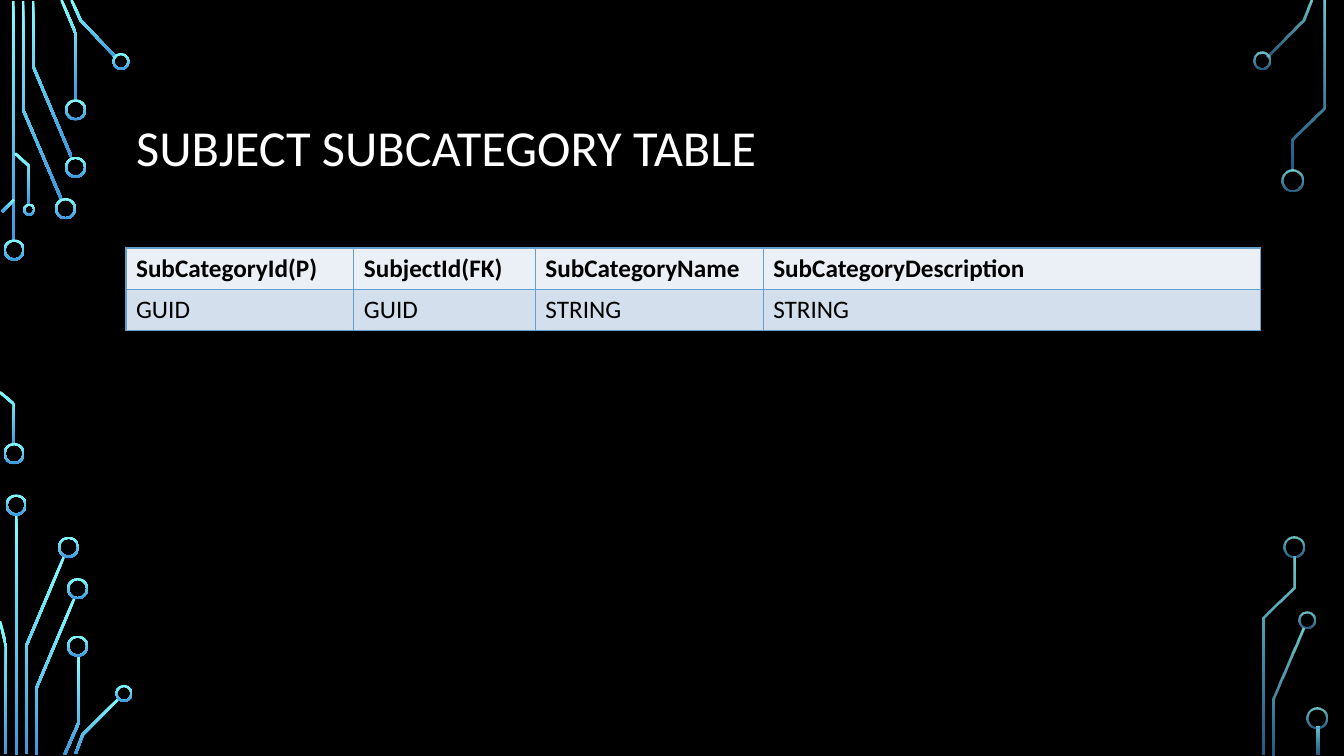
"""Build the subject subcategory table slide with its circuit-board frame."""
from dataclasses import dataclass
from math import hypot
from typing import Any

from lxml.etree import SubElement
from pptx import Presentation
from pptx.dml.color import RGBColor
from pptx.enum.shapes import MSO_SHAPE as Preset
from pptx.enum.text import MSO_ANCHOR as Anchor, PP_ALIGN as Align
from pptx.oxml.ns import qn
from pptx.util import Inches, Pt

Point = tuple[float, float]

COLORS = {
    "background": "000000",
    "title": "FFFFFF",
    "text": "000000",
    "glow_top": "82FFFF",
    "glow_bottom": "3D97DE",
    "header": "EAF0F6",
    "body": "D3DFEC",
    "border": "63A0CC",
}
FONT = "Calibri"
TRACE_WIDTH = 0.025
RING_WIDTH = 0.02
COLUMNS = (2.26, 1.8, 2.26, 4.93)
ROW_HEIGHT = 0.41
ROWS = (
    ("SubCategoryId(P)", "SubjectId(FK)", "SubCategoryName", "SubCategoryDescription"),
    ("GUID", "GUID", "STRING", "STRING"),
)


@dataclass(frozen=True)
class Bar:
    """A straight vertical conductor."""
    left: float
    top: float
    height: float


@dataclass(frozen=True)
class Circuit:
    """One side of the frame: bars, bent traces, and rings by diameter."""
    opacity: tuple[int, int]
    bars: list[Bar]
    traces: list[list[Point]]
    rings: dict[float, list[Point]]


CIRCUITS = (
    Circuit(
        opacity=(100, 100),
        bars=[Bar(0.12, 0.01, 2.39), Bar(0.15, 5.1, 2.39)],
        traces=[
            [(0.61, 1.98), (0.23, 1.09), (0.23, 0.01)],
            [(0.71, 1.56), (0.33, 0.66), (0.33, 0.01)],
            [(0.75, 1), (0.75, 0.33), (0.61, 0)],
            [(1.15, 0.57), (0.8, 0.2), (0.71, 0)],
            [(0.02, 2.1), (0.14, 1.98)],
            [(0.14, 4.41), (0.14, 4.01), (0, 3.89)],
            [(0.29, 2.03), (0.29, 1.65), (0.15, 1.52)],
            [(0.26, 7.48), (0.26, 6.41), (0.64, 5.51)],
            [(0.06, 7.48), (0.06, 6.41), (0, 6.16)],
            [(0.36, 7.49), (0.36, 6.83), (0.74, 5.93)],
            [(0.64, 7.49), (0.78, 7.17), (0.78, 6.5)],
            [(0.75, 7.48), (0.82, 7.29), (1.18, 6.93)],
        ],
        rings={
            0.21: [(0.14, 2.48), (0.14, 4.5), (0.65, 2.07), (0.75, 1.66), (0.75, 1.09),
                   (0.16, 5.01), (0.68, 5.43), (0.77, 5.84), (0.77, 6.41)],
            0.17: [(1.2, 0.61), (1.23, 6.88)],
            0.12: [(0.29, 2.08)],
        },
    ),
    Circuit(
        opacity=(80, 60),
        bars=[Bar(13.06, 7.21, 0.28)],
        traces=[
            [(12.57, 0.56), (12.93, 0.2), (13.01, 0)],
            [(12.63, 7.49), (12.63, 6.93), (12.93, 6.23)],
            [(12.82, 1.69), (12.82, 1.38), (13.13, 1.07), (13.13, 0.01)],
            [(12.53, 7.49), (12.53, 6.13), (12.84, 5.83), (12.84, 5.52)],
        ],
        rings={
            0.21: [(12.82, 1.79), (12.83, 5.43), (13.06, 7.12)],
            0.17: [(12.52, 0.6), (12.96, 6.15)],
        },
    ),
)


def rgb(name: str) -> RGBColor:
    """Look up a palette colour."""
    return RGBColor.from_string(COLORS[name])


def set_values(target: Any, values: dict[str, Any]) -> None:
    """Set attributes from a dict of format values."""
    for name, value in values.items():
        setattr(target, name, value)


def style_glow(shape: Any, opacity: tuple[int, int]) -> None:
    """Give a shape the vertical glow gradient, no line and no shadow."""
    shape.shadow.inherit = False
    shape.line.fill.background()
    shape.fill.gradient()
    shape.fill.gradient_angle = 270
    for stop, name in zip(shape.fill.gradient_stops, ("glow_top", "glow_bottom")):
        stop.color.rgb = rgb(name)
    for color, percent in zip(shape._element.spPr.iter(qn("a:srgbClr")), opacity):
        if percent < 100:
            SubElement(color, qn("a:alpha"), val=str(percent * 1000))


def offset_line(points: list[Point], distance: float) -> list[Point]:
    """Shift a polyline sideways, with mitred corners."""
    normals = []
    for (x1, y1), (x2, y2) in zip(points, points[1:]):
        length = hypot(x2 - x1, y2 - y1)
        normals.append(((y1 - y2) / length, (x2 - x1) / length))
    shifted = []
    for (x, y), (ax, ay), (bx, by) in zip(points, normals[:1] + normals, normals + normals[-1:]):
        scale = distance / (1 + ax * bx + ay * by)
        shifted.append((x + (ax + bx) * scale, y + (ay + by) * scale))
    return shifted


def draw_trace(page: Any, points: list[Point]) -> Any:
    """Draw a bent conductor as a closed outline."""
    half = TRACE_WIDTH / 2
    outline = offset_line(points, half) + offset_line(points, -half)[::-1]
    start, *rest = [(Inches(x), Inches(y)) for x, y in outline]
    builder = page.shapes.build_freeform(*start)
    builder.add_line_segments(rest, close=True)
    return builder.convert_to_shape()


def draw_ring(page: Any, center: Point, size: float) -> Any:
    """Draw a solder ring around its centre."""
    left, top = (Inches(value - size / 2) for value in center)
    ring = page.shapes.add_shape(Preset.DONUT, left, top, Inches(size), Inches(size))
    ring.adjustments[0] = RING_WIDTH / size
    return ring


def draw_bar(page: Any, bar: Bar) -> Any:
    """Draw a straight conductor."""
    box = [Inches(value) for value in (bar.left, bar.top, TRACE_WIDTH, bar.height)]
    return page.shapes.add_shape(Preset.RECTANGLE, *box)


def draw_circuit(page: Any, circuit: Circuit) -> None:
    """Draw one side of the frame."""
    parts = [draw_bar(page, bar) for bar in circuit.bars]
    parts += [draw_trace(page, points) for points in circuit.traces]
    parts += [draw_ring(page, center, size)
              for size, centers in circuit.rings.items() for center in centers]
    for part in parts:
        style_glow(part, circuit.opacity)


def write_title(page: Any, text: str) -> None:
    """Place and format the title placeholder."""
    title = page.shapes.title
    set_values(title, {"left": Inches(1.25), "top": Inches(0.68),
                       "width": Inches(10.83), "height": Inches(1.62)})
    set_values(title.text_frame, {"text": text, "word_wrap": True,
                                  "vertical_anchor": Anchor.MIDDLE})
    para = title.text_frame.paragraphs[0]
    set_values(para, {"alignment": Align.LEFT, "line_spacing": 0.9})
    set_values(para.runs[0].font, {"name": FONT, "size": Pt(36)})
    para.runs[0].font.color.rgb = rgb("title")


def format_cell(cell: Any, text: str, header: bool) -> None:
    """Fill one table cell and draw its borders."""
    cell.text = text
    cell.fill.solid()
    cell.fill.fore_color.rgb = rgb("header" if header else "body")
    font = cell.text_frame.paragraphs[0].runs[0].font
    set_values(font, {"name": FONT, "size": Pt(18), "bold": header})
    font.color.rgb = rgb("text")
    properties = cell._tc.get_or_add_tcPr()
    for index, side in enumerate(("a:lnL", "a:lnR", "a:lnT", "a:lnB")):
        line = SubElement(properties, qn(side), w=str(Pt(1)))
        fill = SubElement(line, qn("a:solidFill"))
        SubElement(fill, qn("a:srgbClr"), val=COLORS["border"])
        properties.insert(index, line)


def draw_table(page: Any) -> None:
    """Draw the field table."""
    box = [Inches(value) for value in (1.25, 2.46, sum(COLUMNS), ROW_HEIGHT * len(ROWS))]
    table = page.shapes.add_table(len(ROWS), len(COLUMNS), *box).table
    for column, width in zip(table.columns, COLUMNS):
        column.width = Inches(width)
    for index, texts in enumerate(ROWS):
        table.rows[index].height = Inches(ROW_HEIGHT)
        for cell, text in zip(table.rows[index].cells, texts):
            format_cell(cell, text, header=index == 0)


def main() -> None:
    """Build and save the deck."""
    deck = Presentation()
    set_values(deck, {"slide_width": Inches(13.33), "slide_height": Inches(7.5)})
    page = deck.slides.add_slide(deck.slide_layouts[5])
    page.background.fill.solid()
    page.background.fill.fore_color.rgb = rgb("background")
    for circuit in CIRCUITS:
        draw_circuit(page, circuit)
    write_title(page, "SUBJECT SUBCATEGORY TABLE")
    draw_table(page)
    deck.save("out.pptx")


if __name__ == "__main__":
    main()
